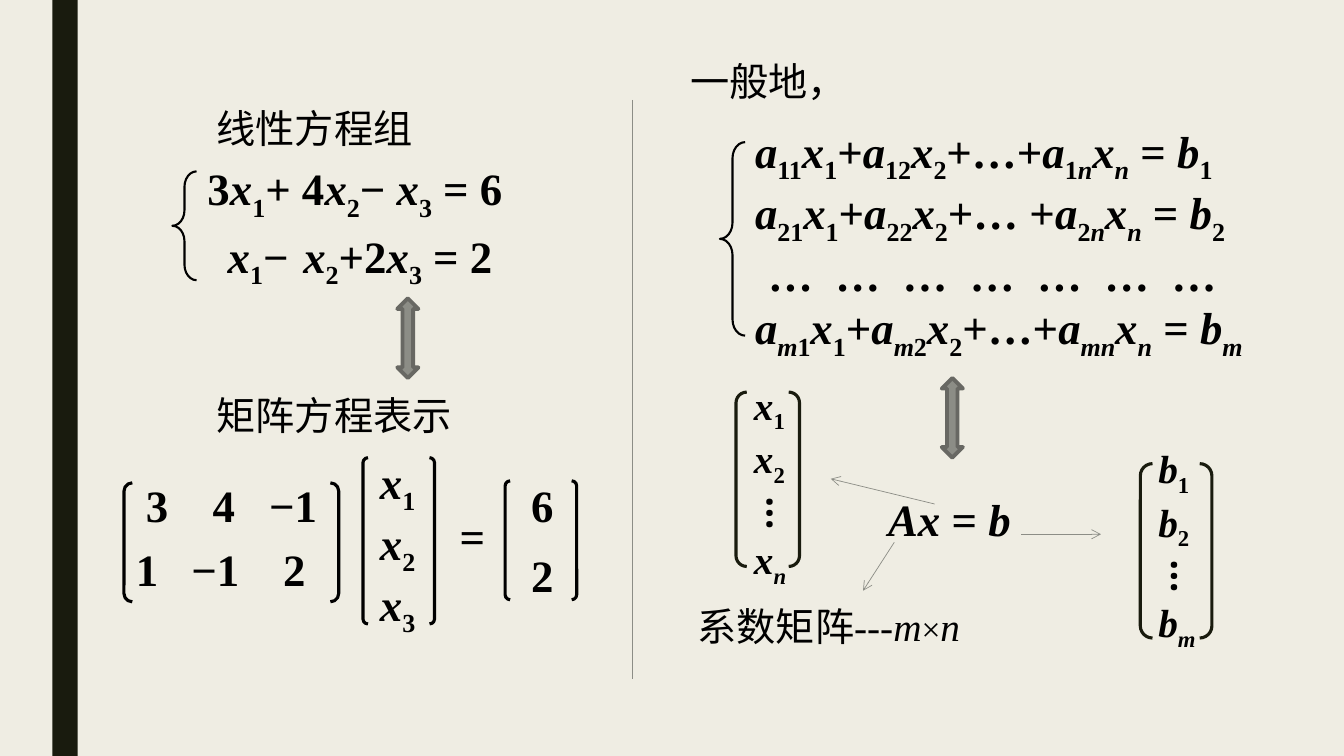
import itertools
import pptx
import pptx.dml.color
import pptx.enum.shapes
import pptx.enum.text
import pptx.oxml
import pptx.oxml.ns
import pptx.util

Inches = pptx.util.Inches
Kind = pptx.enum.shapes.MSO_SHAPE
INK, DARK, GREY, EDGE, PAPER = "000000", "191B0E", "8C8D86", "686863", "EFEDE3"


def color(code):
    return pptx.dml.color.RGBColor.from_string(code)


def stops(para, tabs):
    props = para._p.get_or_add_pPr()
    group = pptx.oxml.parse_xml(f"<a:tabLst {pptx.oxml.ns.nsdecls('a')}/>")
    for pos in tabs:
        tab = group.makeelement(pptx.oxml.ns.qn("a:tab"), {"pos": str(Inches(pos)), "algn": "l"})
        group.append(tab)
    props.append(group)


def letter(char):
    return char.isascii() and char.isalpha()


def fill_para(para, words, size, bold):
    """Underscores switch subscript on and off; Latin letters are italic."""
    for part, piece in enumerate(words.split("_")):
        for slant, chars in itertools.groupby(piece, letter):
            run = para.add_run()
            run.text = "".join(chars)
            font = run.font
            font.name = "Times New Roman"
            font.size = pptx.util.Pt(size)
            font.bold, font.italic = bold, slant
            font.color.rgb = color(INK)
            if part % 2:
                run._r.get_or_add_rPr().set("baseline", "-25000")


def text(slide, x, y, w, h, lines, size=32, bold=True, tabs=(), gap=0):
    box = slide.shapes.add_textbox(Inches(x), Inches(y), Inches(w), Inches(h))
    frame = box.text_frame
    frame.word_wrap = bool(tabs)
    frame.auto_size = pptx.enum.text.MSO_AUTO_SIZE.SHAPE_TO_FIT_TEXT
    for num, words in enumerate(lines):
        para = frame.add_paragraph() if num else frame.paragraphs[0]
        if num and gap:
            para.space_before = pptx.util.Pt(gap)
        if "\t" in words:
            stops(para, tabs)
        fill_para(para, words, size, bold)
    return frame


def label(slide, x, y, w, words):
    return text(slide, x, y, w, 0.57, [words], 28, False)


def shape(slide, kind, x, y, w, h, fill=None, line=None, width=1.5, adj=None):
    item = slide.shapes.add_shape(kind, Inches(x), Inches(y), Inches(w), Inches(h))
    item.shadow.inherit = False
    if fill:
        item.fill.solid()
        item.fill.fore_color.rgb = color(fill)
    else:
        item.fill.background()
    if line:
        item.line.color.rgb = color(line)
        item.line.width = pptx.util.Pt(width)
    else:
        item.line.fill.background()
    if adj:
        item.adjustments[0] = adj


def brace(slide, x, y, w, h):
    shape(slide, Kind.LEFT_BRACE, x, y, w, h, line=INK, adj=0.64)


def bracket(slide, x, y, w, h, line=INK, adj=0.07):
    shape(slide, Kind.DOUBLE_BRACKET, x, y, w, h, line=line, width=2.25, adj=adj)


def swap(slide, x, y):
    shape(slide, Kind.UP_DOWN_ARROW, x, y, 0.21, 0.79, GREY, EDGE, 2.75)


def line(slide, x, y, dx, dy, head=True):
    item = slide.shapes.add_connector(
        pptx.enum.shapes.MSO_CONNECTOR.STRAIGHT,
        Inches(x), Inches(y), Inches(x + dx), Inches(y + dy))
    item.line.color.rgb = color(GREY)
    item.line.width = pptx.util.Pt(0.5)
    space = pptx.oxml.ns.nsdecls("a")
    if head:
        item.line._get_or_add_ln().append(
            pptx.oxml.parse_xml(f'<a:tailEnd {space} type="arrow"/>'))
    item._element.spPr.append(pptx.oxml.parse_xml(f"<a:effectLst {space}/>"))


def sample(slide, x, y):
    # System of two equations
    label(slide, x + 0.82, y, 2.17, "线性方程组")
    brace(slide, x + 0.48, y + 0.71, 0.24, 1.08)
    text(slide, x + 0.73, y + 0.56, 3.24, 0.64, ["3x_1_+ 4x_2_− x_3_ = 6"])
    text(slide, x + 0.93, y + 1.23, 3.17, 0.64, ["x_1_−\tx_2_+2x_3_ = 2"], tabs=[0.75])
    swap(slide, x + 2.71, y + 1.97)

    # Same system as matrices
    label(slide, x + 0.82, y + 2.84, 2.56, "矩阵方程表示")
    bracket(slide, x, y + 3.8, 2.13, 1.18)
    text(slide, x + 0.12, y + 3.7, 2.1, 0.64, ["3\t4\t−1"], tabs=[0.66, 1.22])
    text(slide, x + 0.02, y + 4.34, 2.1, 0.64, ["1\t−1\t2"], tabs=[0.55, 1.46])
    bracket(slide, x + 2.37, y + 3.55, 0.71, 1.65)
    text(slide, x + 2.44, y + 3.47, 0.58, 1.72, [f"x_{i}_" for i in (1, 2, 3)])
    text(slide, x + 3.23, y + 4.01, 0.45, 0.64, ["="])
    bracket(slide, x + 3.78, y + 3.78, 0.71, 1.18)
    text(slide, x + 3.94, y + 3.7, 0.47, 1.31, ["6", "2"], gap=11.8)


def vector(slide, x, y, w, name, last, rise):
    bracket(slide, x, y, w, 1.73, DARK, 0.17)
    rows = [f"{name}_1_", f"{name}_2_", " ⁝", f"{name}_{last}_"]
    text(slide, x + 0.08, y - rise, w - 0.1, 1.99, rows, 28)


def general(slide, x, y):
    # System of m equations
    label(slide, x, y, 1.77, "一般地，")
    brace(slide, x + 0.39, y + 0.89, 0.25, 1.92)
    rows = ["a_11_x_1_+a_12_x_2_+…+a_1n_x_n_ = b_1_",
            "a_21_x_1_+a_22_x_2_+… +a_2n_x_n_ = b_2_",
            "\t…" * 7,
            "a_m1_x_1_+a_m2_x_2_+…+a_mn_x_n_ = b_m_"]
    text(slide, x + 0.64, y + 0.66, 5.44, 2.26, rows,
         tabs=[0.13 + 0.667 * i for i in range(7)])
    swap(slide, x + 2.59, y + 3.23)

    # Matrix form and its parts
    text(slide, x + 1.96, y + 4.31, 1.43, 0.64, ["Ax = b"])
    line(slide, x + 2.12, y + 4.86, -0.31, 0.48)
    line(slide, x + 2.52, y + 4.48, -1.03, -0.25)
    line(slide, x + 3.38, y + 4.78, 0.79, 0)
    vector(slide, x + 0.55, y + 3.37, 0.63, "x", "n", 0.16)
    vector(slide, x + 4.56, y + 4.08, 0.71, "b", "m", 0.24)
    note = label(slide, x + 0.07, y + 5.41, 3.01, "系数矩阵---m×n")
    note.paragraphs[0].runs[2].font.size = pptx.util.Pt(24)


def main():
    deck = pptx.Presentation()
    deck.slide_width, deck.slide_height = Inches(13.33), Inches(7.5)
    slide = deck.slides.add_slide(deck.slide_layouts[6])
    slide.background.fill.solid()
    slide.background.fill.fore_color.rgb = color(PAPER)
    # Side bar and divider
    shape(slide, Kind.RECTANGLE, 0.52, 0, 0.25, 7.5, DARK)
    line(slide, 6.27, 0.99, 0, 5.75, head=False)
    sample(slide, 1.23, 0.99)
    general(slide, 6.75, 0.52)
    deck.save("out.pptx")


if __name__ == "__main__":
    main()
